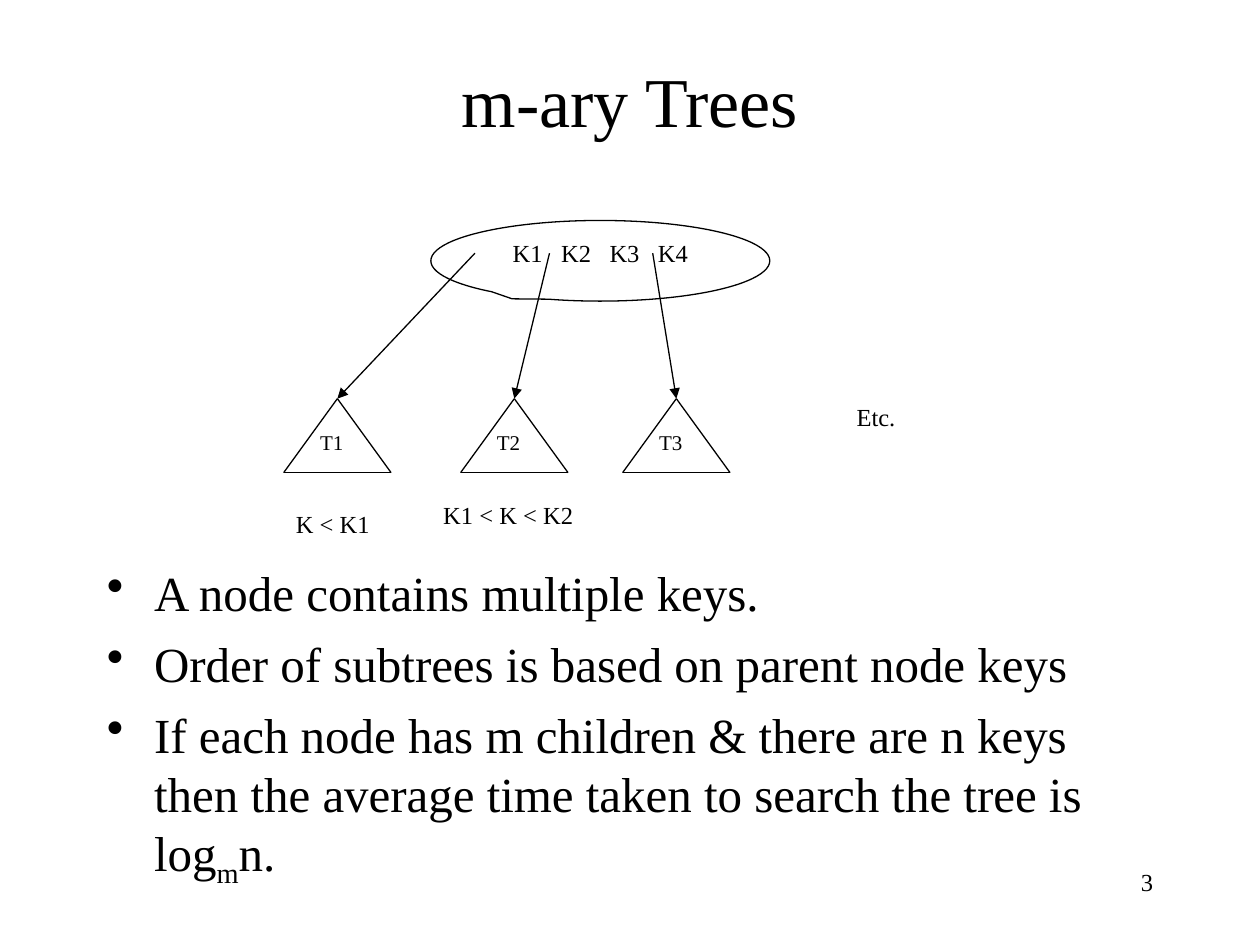
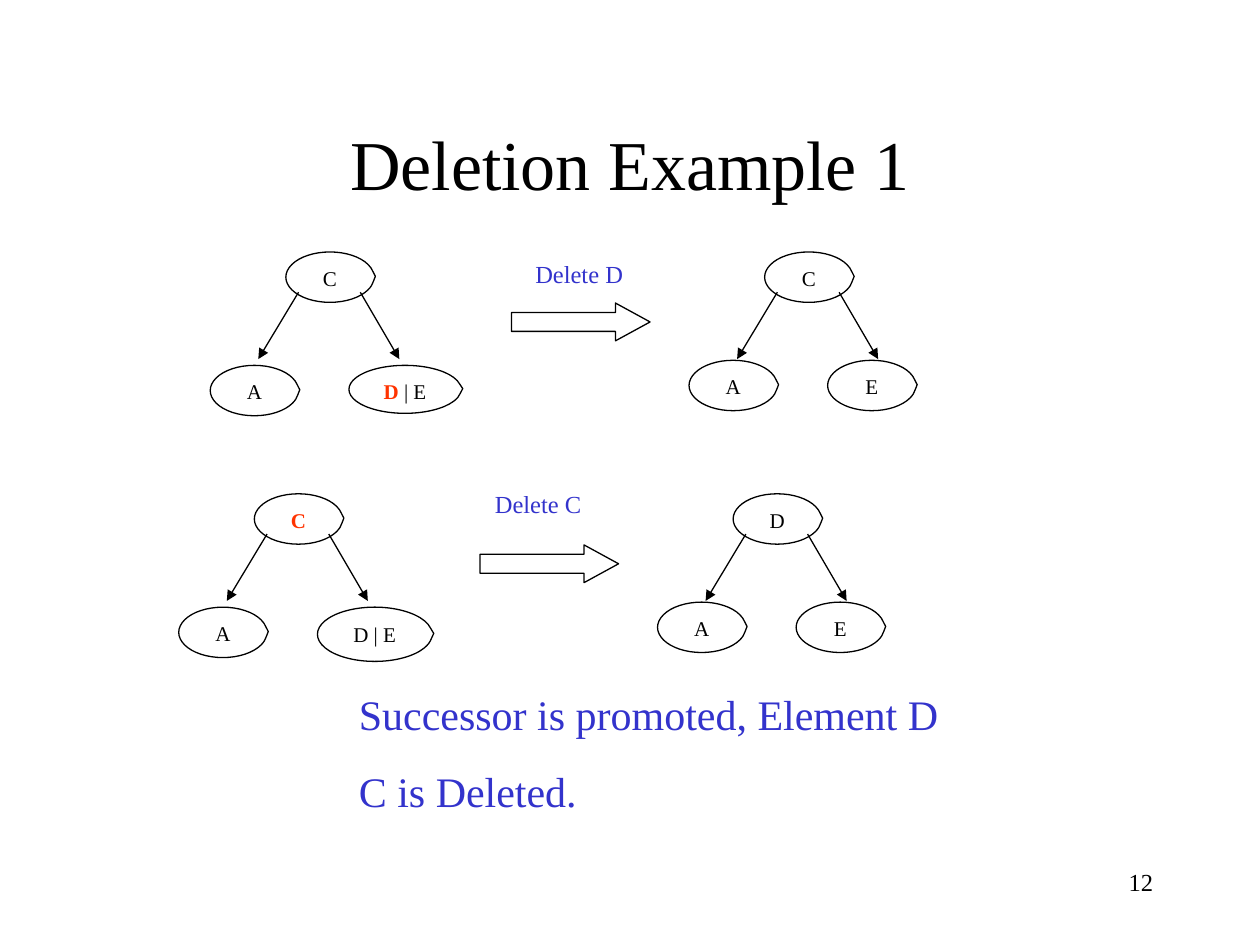
from itertools import pairwise

from lxml import etree
from pptx import Presentation
from pptx.dml.color import RGBColor
from pptx.enum.shapes import MSO_CONNECTOR, MSO_SHAPE
from pptx.enum.text import MSO_ANCHOR, PP_ALIGN
from pptx.oxml.ns import qn
from pptx.util import Pt

STRAIGHT = MSO_CONNECTOR.STRAIGHT
CALLOUT = MSO_SHAPE.OVAL_CALLOUT
BLOCK_ARROW = MSO_SHAPE.RIGHT_ARROW
TOP, MIDDLE = MSO_ANCHOR.TOP, MSO_ANCHOR.MIDDLE
LEFT, CENTER, RIGHT = PP_ALIGN.LEFT, PP_ALIGN.CENTER, PP_ALIGN.RIGHT

BLACK = RGBColor(0x00, 0x00, 0x00)
WHITE = RGBColor(0xFF, 0xFF, 0xFF)
RED = RGBColor(0xFF, 0x33, 0x00)
BLUE = RGBColor(0x33, 0x33, 0xCC)
FONT = "Times New Roman"
LINE_WIDTH = Pt(0.75)

MARGIN, CONTENT_WIDTH = 54, 612
NODE_WIDTH, NODE_HEIGHT = 50.4, 28.8
NODE_TAIL = (0.515, -0.016)


def add_run(paragraph, text, size, color=BLACK, bold=False):
    run = paragraph.add_run()
    run.text = text
    run.font.name = FONT
    run.font.size = Pt(size)
    run.font.color.rgb = color
    run.font.bold = bold
    return run


def set_frame(shape, anchor=TOP):
    frame = shape.text_frame
    frame.word_wrap = True
    frame.vertical_anchor = anchor
    return frame


def add_text(slide, box, text, size, align=LEFT, color=BLACK, anchor=TOP):
    shape = slide.shapes.add_textbox(*map(Pt, box))
    paragraph = set_frame(shape, anchor).paragraphs[0]
    paragraph.alignment = align
    add_run(paragraph, text, size, color)


def add_outline(slide, kind, box, adjustments):
    shape = slide.shapes.add_shape(kind, *map(Pt, box))
    shape.shadow.inherit = False
    shape.fill.solid()
    shape.fill.fore_color.rgb = WHITE
    shape.line.color.rgb = BLACK
    shape.line.width = LINE_WIDTH
    for index, value in enumerate(adjustments):
        shape.adjustments[index] = value
    return shape


def add_line(slide, start, end, arrow=False):
    line = slide.shapes.add_connector(STRAIGHT, *map(Pt, (*start, *end)))
    line.line.color.rgb = BLACK
    line.line.width = LINE_WIDTH
    if arrow:
        etree.SubElement(line.line._get_or_add_ln(), qn("a:tailEnd"), type="triangle")
    etree.SubElement(line._element.spPr, qn("a:effectLst"))


def add_node(slide, box, keys, tail=NODE_TAIL):
    paragraph = set_frame(add_outline(slide, CALLOUT, box, tail)).paragraphs[0]
    paragraph.alignment = CENTER
    for text, color, bold in keys:
        add_run(paragraph, text, 12, color, bold)


def add_title_and_number(slide, title, title_top, number):
    add_text(slide, (MARGIN, title_top, CONTENT_WIDTH, 90), title, 40, CENTER, anchor=MIDDLE)
    add_text(slide, (516, 492, 150, 36), number, 14, RIGHT)


def add_root_keys(slide, box, keys):
    root = add_outline(slide, CALLOUT, box, (-0.26, 0.472))
    paragraph = set_frame(root).paragraphs[0]
    paragraph.alignment = CENTER
    for index, key in enumerate(keys):
        if index:
            gap = add_run(paragraph, " ", 14)
            gap.font._element.set("spc", "700")
        add_run(paragraph, key, 14)


def add_subtree(slide, apex, label):
    x, y = apex
    half_base, height = 30.7, 42.3
    corners = [apex, (x - half_base, y + height), (x + half_base, y + height), apex]
    for start, end in pairwise(corners):
        add_line(slide, start, end)
    add_text(slide, (x - 17, y + 14.4, 34, 28), label, 12)


def add_mary_tree(slide, left, top):
    add_root_keys(slide, (left + 84.2, top, 193.7, 46.1), ["K1", "K2", "K3", "K4"])
    subtrees = [("T1", 109.4, 30.8), ("T2", 152, 131.9), ("T3", 211, 224.5)]
    for label, start_x, apex_x in subtrees:
        apex = (left + apex_x, top + 101.8)
        add_subtree(slide, apex, label)
        add_line(slide, (left + start_x, top + 18.7), apex, arrow=True)
    add_text(slide, (left + 320.4, top + 100, 75.6, 36.7), "Etc.", 14)
    add_text(slide, (left, top + 161.3, 60, 28), "K < K1", 14)
    add_text(slide, (left + 84.2, top + 156.2, 126, 24.5), "K1 < K < K2", 14)


def add_bullets(slide, box, items):
    frame = set_frame(slide.shapes.add_textbox(*map(Pt, box)))
    for index, parts in enumerate(items):
        paragraph = frame.add_paragraph() if index else frame.paragraphs[0]
        paragraph.space_before = Pt(7)
        properties = paragraph._p.get_or_add_pPr()
        properties.set("marL", str(Pt(27)))
        properties.set("indent", str(-Pt(27)))
        etree.SubElement(properties, qn("a:buChar"), char="•")
        for text, baseline in parts:
            run = add_run(paragraph, text, 28)
            if baseline:
                run.font._element.set("baseline", str(baseline))


def add_two_leaf_tree(slide, left, top, root, leaves, leaf_drop, right_size):
    add_node(slide, (left + 43.2, top, NODE_WIDTH, NODE_HEIGHT), root)
    sizes = [(NODE_WIDTH, NODE_HEIGHT), right_size]
    for keys, size, dx in zip(leaves, sizes, (0, 79.2)):
        add_node(slide, (left + dx, top + leaf_drop, *size), keys)
    for start_x, end_x in ((50.4, 27.4), (85.7, 108)):
        add_line(slide, (left + start_x, top + 23), (left + end_x, top + 61.2), arrow=True)


def add_deletion_step(slide, left, top, before, after, wide_size, label, label_offset):
    add_two_leaf_tree(slide, left, top, before[0], before[1:], 64.8, wide_size)
    add_two_leaf_tree(slide, left + 273.6, top, after[0], after[1:], 61.9,
                      (NODE_WIDTH, NODE_HEIGHT))
    add_outline(slide, BLOCK_ARROW, (left + 172.1, top + 29.2, 79.2, 21.6), (0.5, 0.915))
    dx, dy = label_offset
    add_text(slide, (left + dx, top + dy, 66, 21.6), label, 14, color=BLUE)


def add_outcome(slide, box, lines):
    frame = set_frame(slide.shapes.add_textbox(*map(Pt, box)))
    for index, text in enumerate(lines):
        paragraph = frame.add_paragraph() if index else frame.paragraphs[0]
        paragraph.space_before = Pt(15)
        add_run(paragraph, text, 24, BLUE)


def build_mary_slide(slide):
    add_title_and_number(slide, "m-ary Trees", 12, "3")
    add_mary_tree(slide, 162, 126)
    add_bullets(slide, (MARGIN, 318, CONTENT_WIDTH, 192), [
        [("A node contains multiple keys.", 0)],
        [("Order of subtrees is based on parent node keys", 0)],
        [("If each node has m children & there are n keys then the average "
          "time taken to search the tree is log", 0), ("m", -25000), ("n.", 0)],
    ])


def build_deletion_slide(slide):
    add_title_and_number(slide, "Deletion Example 1", 48, "12")
    a, c, d, e, d_e = ([(text, BLACK, False)] for text in ("A", "C", "D", "E", "D | E"))
    deleted_c = [("C", RED, True)]
    deleted_d_e = [("D", RED, True), (" | E", BLACK, False)]
    add_deletion_step(slide, 120.2, 144, (c, a, deleted_d_e), (c, a, e),
                      (64.1, 27.4), "Delete D", (178.6, 0.7))
    add_deletion_step(slide, 102.2, 282.2, (deleted_c, a, d_e), (d, a, e),
                      (65.5, 31), "Delete C", (173.5, -6.5))
    add_outcome(slide, (198, 390, 432, 80),
                ["Successor is promoted, Element D", "C is Deleted."])


def main():
    deck = Presentation()
    deck.slide_width, deck.slide_height = Pt(720), Pt(540)
    for build in (build_mary_slide, build_deletion_slide):
        build(deck.slides.add_slide(deck.slide_layouts[6]))
    deck.save("out.pptx")


if __name__ == "__main__":
    main()
